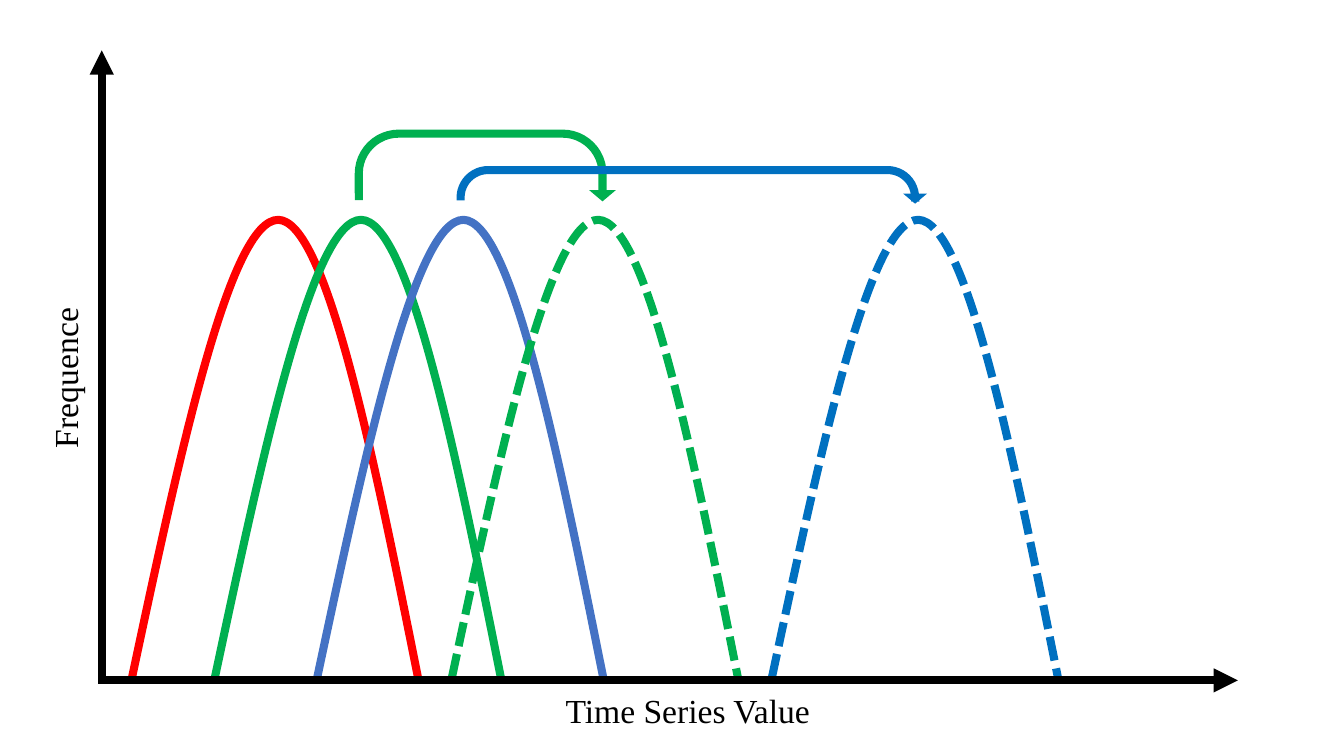
"""Build a slide of frequency curves shifted along a time series axis."""
from lxml import etree
from pptx import Presentation
from pptx.dml.color import RGBColor
from pptx.enum import dml, shapes, text
from pptx.oxml import ns
from pptx.util import Pt

BLACK = RGBColor(0x00, 0x00, 0x00)
RED = RGBColor(0xFF, 0x00, 0x00)
GREEN = RGBColor(0x00, 0xB0, 0x50)
INDIGO = RGBColor(0x44, 0x72, 0xC4)
BLUE = RGBColor(0x00, 0x70, 0xC0)

FONT = "Times New Roman"
LINE_WIDTH = 5.75
CURVE_TOP = 157
BELL_POINTS = [(0, 327), (35, 163), (70, 0), (104.5, 0), (138.5, 0.7), (172, 165.5), (205, 330.5)]


def style_line(shape, color):
    """Give a shape the common line width and the given colour."""
    shape.line.color.rgb = color
    shape.line.width = Pt(LINE_WIDTH)


def add_axis(slide, tip, origin):
    """Draw an axis with a triangular arrowhead at its tip."""
    axis = slide.shapes.add_connector(
        shapes.MSO_CONNECTOR.STRAIGHT, *[Pt(value) for value in (*tip, *origin)])
    style_line(axis, BLACK)
    properties = axis.element.spPr
    line = properties.find(ns.qn("a:ln"))
    etree.SubElement(line, ns.qn("a:headEnd"), type="triangle")
    etree.SubElement(properties, ns.qn("a:effectLst"))


def add_bell(slide, left, color, dashed=False):
    """Draw a bell curve as two joined Bezier segments."""
    points = [(Pt(left + x), Pt(CURVE_TOP + y)) for x, y in BELL_POINTS]
    builder = slide.shapes.build_freeform(*points[0])
    builder.add_line_segments(points[1:], close=False)
    bell = builder.convert_to_shape()
    bell.shadow.inherit = False
    bell.fill.background()
    style_line(bell, color)
    if dashed:
        bell.line.dash_style = dml.MSO_LINE.SQUARE_DOT
        bell.element.spPr.find(ns.qn("a:ln")).find(ns.qn("a:prstDash")).set("val", "sysDash")
    outline = next(bell.element.iter(ns.qn("a:path")))
    segments = outline.findall(ns.qn("a:lnTo"))
    for start in range(0, len(segments), 3):
        curve = etree.SubElement(outline, ns.qn("a:cubicBezTo"))
        for segment in segments[start:start + 3]:
            curve.append(segment[0])
            outline.remove(segment)


def add_shift_arrow(slide, box, bend, color):
    """Draw a U-turn arrow from a curve to its shifted position."""
    arrow = slide.shapes.add_shape(
        shapes.MSO_SHAPE.U_TURN_ARROW, *[Pt(value) for value in box])
    for index, value in enumerate((0, 0.034, 0.029, bend, 0.939)):
        arrow.adjustments[index] = value
    arrow.shadow.inherit = False
    arrow.fill.background()
    style_line(arrow, color)
    line = arrow.element.spPr.find(ns.qn("a:ln"))
    etree.SubElement(line, ns.qn("a:miter"), lim="800000")


def add_label(slide, left, top, caption, rotation=0):
    """Add a centred axis label."""
    label = slide.shapes.add_textbox(Pt(left), Pt(top), Pt(242.6), Pt(36))
    label.rotation = rotation
    frame = label.text_frame
    frame.word_wrap = True
    frame.auto_size = text.MSO_AUTO_SIZE.SHAPE_TO_FIT_TEXT
    frame.text = caption
    paragraph = frame.paragraphs[0]
    paragraph.alignment = text.PP_ALIGN.CENTER
    font = paragraph.runs[0].font
    font.name = FONT
    font.size = Pt(24)
    font.color.rgb = BLACK


def main():
    """Assemble and save the slide."""
    presentation = Presentation()
    presentation.slide_width = Pt(960)
    presentation.slide_height = Pt(540)
    slide = presentation.slides.add_slide(presentation.slide_layouts[6])

    add_bell(slide, 94.3, RED)
    add_axis(slide, (72.7, 36), (72.7, 486))
    add_bell(slide, 153.5, GREEN)
    add_bell(slide, 226.6, INDIGO)
    add_bell(slide, 322.8, GREEN, dashed=True)
    add_bell(slide, 551.4, BLUE, dashed=True)
    add_axis(slide, (884.2, 486), (69.8, 486))

    add_shift_arrow(slide, (256.3, 95.5, 175.7, 47.5), 0.6, GREEN)
    add_shift_arrow(slide, (329, 121.5, 325.4, 21.6), 0.911, BLUE)

    add_label(slide, 370, 489.6, "Time Series Value")
    add_label(slide, -75, 252, "Frequence", rotation=270)
    presentation.save("out.pptx")


if __name__ == "__main__":
    main()
